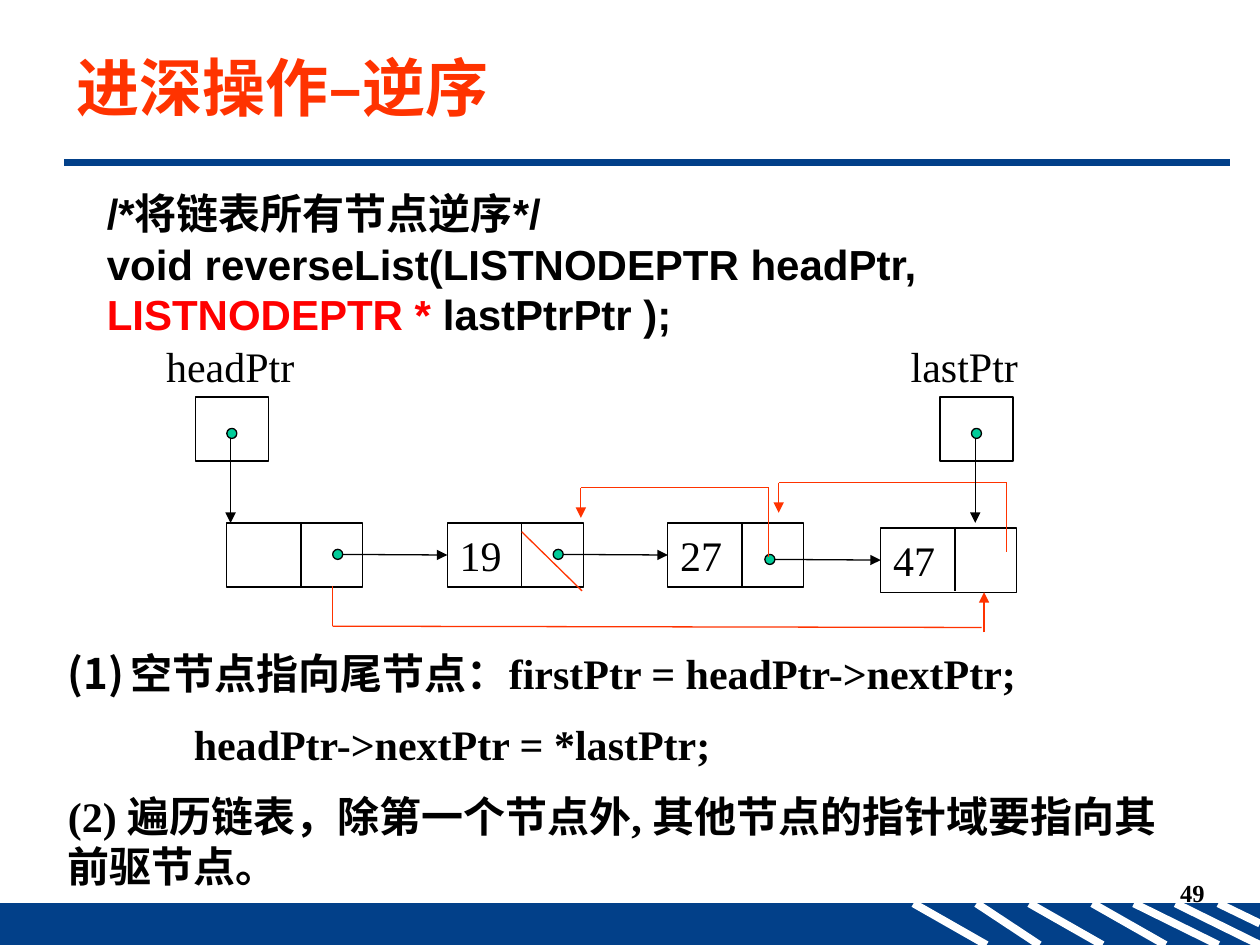
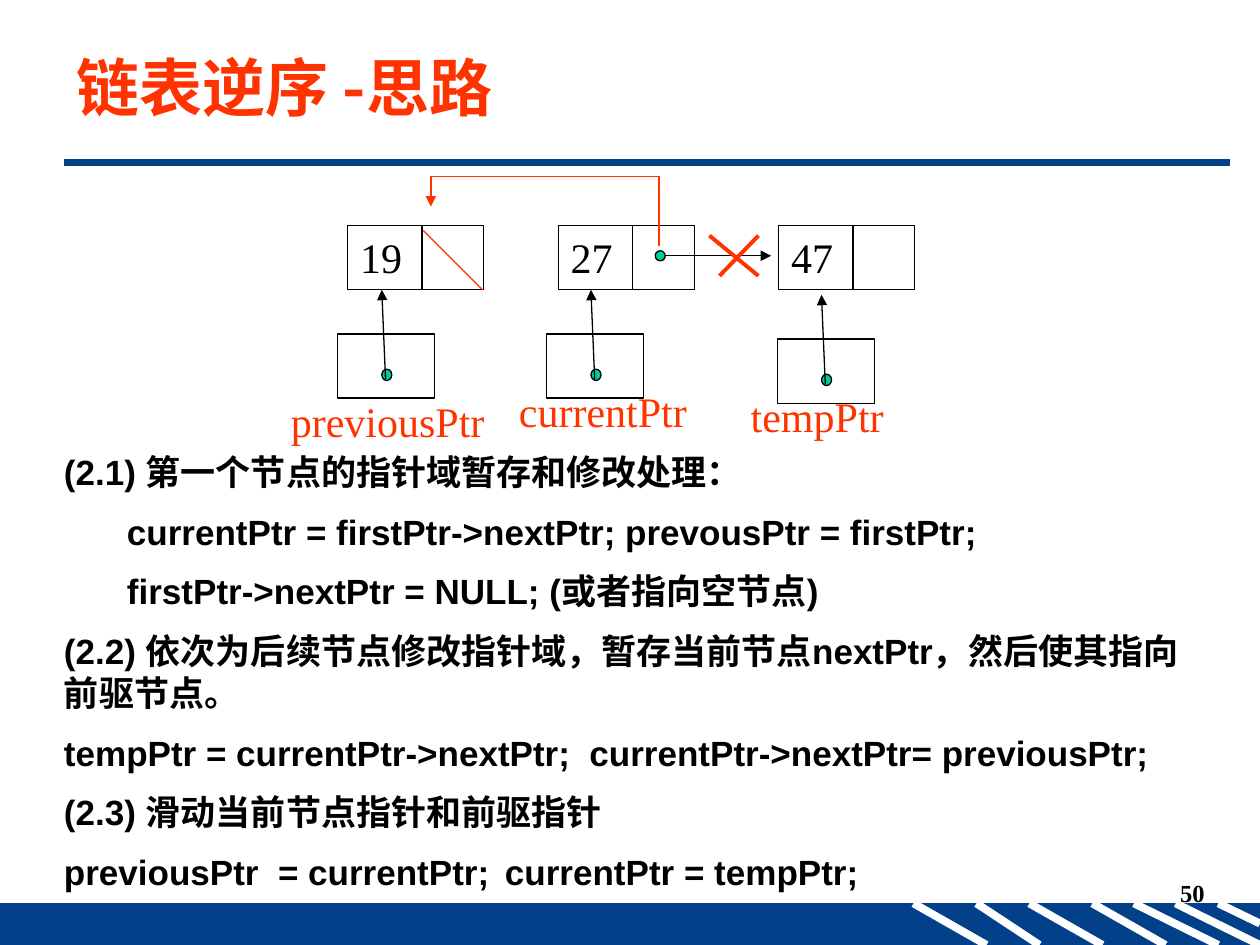
from pptx import Presentation
from pptx.dml.color import RGBColor
from pptx.enum import shapes, text
from pptx.oxml.ns import qn
from pptx.util import Inches, Pt
from lxml import etree

# Shared look
NAVY, RED, BLACK, WHITE, GREEN = "024089", "FF3300", "000000", "FFFFFF", "00CC99"
SERIF, SANS, CJK = "Times New Roman", "Arial", "Noto Sans CJK SC"
STRIPES = [(7.75, 8.25, 7.5), (7.25, 7.83, 7.5), (8.17, 8.75, 7.5), (9.33, 10, 7.5),
           (9, 9.67, 7.5), (9.67, 10, 7.33), (8.67, 9.25, 7.5)]
LABEL = dict(size=24, name=SERIF)
NODE_W, BOX_H, SPLIT, DOT = 1.08, 0.51, 0.59, 0.08

# Slide content: paragraphs are lists of (words, colour) runs or plain strings
REVERSE = dict(
    title="进深操作–逆序", page="49",
    nodes=[(1.8, 4.15, ""), (3.55, 4.15, "19"), (5.3, 4.15, "27"), (6.99, 4.19, "47")],
    links=[(2.64, 4.36, 1), (4.39, 4.36, 2), (6.07, 4.4, 3)],  # dot, target node
    hooks=[(6.1, 4.61, 3.87), (7.99, 6.18, 3.83)],             # from x, to x, top
    slash=(4.14, 4.22, 4.62, 4.69),
    code=["/*将链表所有节点逆序*/",
          [("void reverseList(LISTNODEPTR headPtr, ", BLACK),
           ("LISTNODEPTR * ", "FF0000"), ("lastPtrPtr );", BLACK)]],
    steps=["空节点指向尾节点：firstPtr = headPtr->nextPtr;",
           "\t\theadPtr->nextPtr = *lastPtr;",
           "(2) 遍历链表，除第一个节点外, 其他节点的指针域要指向其前驱节点。"],
    heads=[(1.55, "headPtr"), (7.46, "lastPtr")])
IDEA = dict(
    title="链表逆序 -思路", page="50",
    nodes=[(2.76, 1.79, "19"), (4.43, 1.79, "27"), (6.18, 1.79, "47")],
    links=[(5.2, 1.99, None)],
    hooks=[(5.23, 3.42, 1.4)],
    slash=(3.36, 1.83, 3.83, 2.3),
    cross=[(5.63, 1.87, 6.02, 2.19), (6.02, 1.87, 5.71, 2.19)],
    marks=[(2.68, 2.65, 2.21, 3.09, "previousPtr"), (4.34, 2.65, 4.02, 3.01, "currentPtr"),
           (6.17, 2.69, 5.86, 3.05, "tempPtr")],
    steps=["(2.1) 第一个节点的指针域暂存和修改处理：",
           "\tcurrentPtr = firstPtr->nextPtr; prevousPtr = firstPtr;",
           "\tfirstPtr->nextPtr = NULL; (或者指向空节点)",
           "(2.2) 依次为后续节点修改指针域，暂存当前节点nextPtr，然后使其指向前驱节点。",
           "tempPtr = currentPtr->nextPtr;  currentPtr->nextPtr= previousPtr;",
           "(2.3) 滑动当前节点指针和前驱指针",
           "previousPtr  = currentPtr;\tcurrentPtr = tempPtr;"])


def rgb(code):
    return RGBColor.from_string(code)


def write(shape, paras, size, name, color=BLACK, bold=False, gap=0,
          align=text.PP_ALIGN.LEFT, anchor=text.MSO_ANCHOR.TOP, tight=True):
    frame = shape.text_frame
    for key, val in dict(word_wrap=True, vertical_anchor=anchor).items():
        setattr(frame, key, val)
    for i, words in enumerate(paras):
        para = frame.add_paragraph() if i else frame.paragraphs[0]
        para.alignment = align
        if tight:
            para.line_spacing = Pt(size * 1.2)
        para.space_before = Pt(gap if i else 0)
        for part, tint in [(words, color)] if isinstance(words, str) else words:
            run = para.add_run()
            run.text = part
            for key, val in dict(size=Pt(size), name=name, bold=bold).items():
                setattr(run.font, key, val)
            run.font.color.rgb = rgb(tint)
            latin = run.font._element.find(qn("a:latin"))
            east = etree.Element(qn("a:ea"), typeface=CJK)
            latin.addnext(east)
    return frame


def note(slide, at, paras, **fmt):
    return write(slide.shapes.add_textbox(*map(Inches, at)), paras, **fmt)


def draw(slide, kind, at, fill=None, edge=BLACK):
    shape = slide.shapes.add_shape(kind, *map(Inches, at))
    shape.shadow.inherit = False
    if fill:
        shape.fill.solid()
        shape.fill.fore_color.rgb = rgb(fill)
    else:
        shape.fill.background()
    shape.line.color.rgb = rgb(edge)
    shape.line.width = Pt(0.75)
    return shape


def box(slide, *at, **fmt):
    return draw(slide, shapes.MSO_SHAPE.RECTANGLE, at, **fmt)


def dot(slide, x, y, h=DOT):
    draw(slide, shapes.MSO_SHAPE.OVAL, (x, y, DOT, h), fill=GREEN)


def line(slide, ends, color=BLACK, width=0.75, arrow=False):
    wire = slide.shapes.add_connector(shapes.MSO_CONNECTOR.STRAIGHT, *map(Inches, ends))
    wire.line.color.rgb = rgb(color)
    wire.line.width = Pt(width)
    if arrow:
        etree.SubElement(wire.line._get_or_add_ln(), qn("a:tailEnd"), type="triangle")
    etree.SubElement(wire._element.spPr, qn("a:effectLst"))
    return wire


def trail(slide, points, arrow=True):
    for i, (start, end) in enumerate(zip(points, points[1:])):
        line(slide, start + end, RED, arrow=arrow and i == len(points) - 2)


def base(deck, data):
    """Blank slide with band, rule, page number and title."""
    slide = deck.slides.add_slide(deck.slide_layouts[6])
    box(slide, 0, 7.17, 10, 0.33, fill=NAVY, edge=NAVY)
    for left, right, low in STRIPES:
        line(slide, (left, 7.17, right, low), WHITE, 4.5)
    line(slide, (0.51, 1.29, 9.76, 1.29), NAVY, 4.5)
    note(slide, (7.58, 6.92, 2.08, 0.5), [data["page"]], size=14, name=SERIF,
         bold=True, align=text.PP_ALIGN.RIGHT)
    note(slide, (0.51, 0.29, 9.29, 0.79), [data["title"]], size=36, name=CJK,
         color=RED, bold=True, anchor=text.MSO_ANCHOR.MIDDLE, tight=False)
    return slide


def chain(slide, data):
    """List nodes, their links and the red reversed links."""
    nodes = []
    for x, y, label in data["nodes"]:
        node = box(slide, x, y, NODE_W, BOX_H)
        if label:
            write(node, [label], **LABEL)
        line(slide, (x + SPLIT, y, x + SPLIT, y + 0.5))
        nodes.append(node)
    for x, y, goal in data["links"]:
        mid = y + DOT / 2
        wire = line(slide, (x + DOT, mid, x + 0.92, mid), arrow=True)
        if goal is not None:
            wire.end_connect(nodes[goal], 1)
        dot(slide, x, y)
    for start, end, top in data["hooks"]:
        trail(slide, [(start, top + 0.55), (start, top), (end, top), (end, top + 0.24)])
    line(slide, data["slash"], RED)


def reverse(deck):
    slide = base(deck, REVERSE)
    note(slide, (0.75, 1.44, 8.5, 1.45), REVERSE["code"], size=24, name=SANS, bold=True)
    steps = note(slide, (0.44, 5.09, 8.9, 2.12), REVERSE["steps"], size=24,
                 name=SERIF, bold=True, gap=12)
    # Numbered first step
    props = steps.paragraphs[0]._p.get_or_add_pPr()
    props.set("marL", str(Inches(0.5)))
    props.set("indent", str(Inches(-0.5)))
    etree.SubElement(props, qn("a:buAutoNum"), type="arabicParenBoth")
    chain(slide, REVERSE)
    # Head and tail pointers
    for x, label in REVERSE["heads"]:
        box(slide, x, 3.15, 0.58, BOX_H)
        note(slide, (x - 0.33, 2.65, 1.6, BOX_H), [label], **LABEL)
        dot(slide, x + 0.25, 3.4)
        line(slide, (x + 0.28, 3.48, x + 0.28, 4.15), arrow=True)
    # Empty node to last node
    trail(slide, [(2.64, 4.65), (2.64, 4.97), (7.79, 4.98)], arrow=False)
    trail(slide, [(7.81, 5.02), (7.81, 4.7)])


def idea(deck):
    slide = base(deck, IDEA)
    chain(slide, IDEA)
    for ends in IDEA["cross"]:
        line(slide, ends, RED, 2.25)
    # Working pointers
    for x, y, left, top, label in IDEA["marks"]:
        note(slide, (left, top, 1.75, 0.5), [label], color=RED, **LABEL)
        box(slide, x, y, 0.77, BOX_H)
        dot(slide, x + 0.35, y + 0.28, 0.09)
        line(slide, (x + 0.38, y + 0.36, x + 0.35, y - 0.35), arrow=True)
    note(slide, (0.41, 3.53, 9.14, 3.64), IDEA["steps"], size=20, name=SANS,
         bold=True, gap=10)


def main():
    deck = Presentation()
    deck.slide_width, deck.slide_height = Inches(10), Inches(7.5)
    reverse(deck)
    idea(deck)
    deck.save("out.pptx")


if __name__ == "__main__":
    main()
